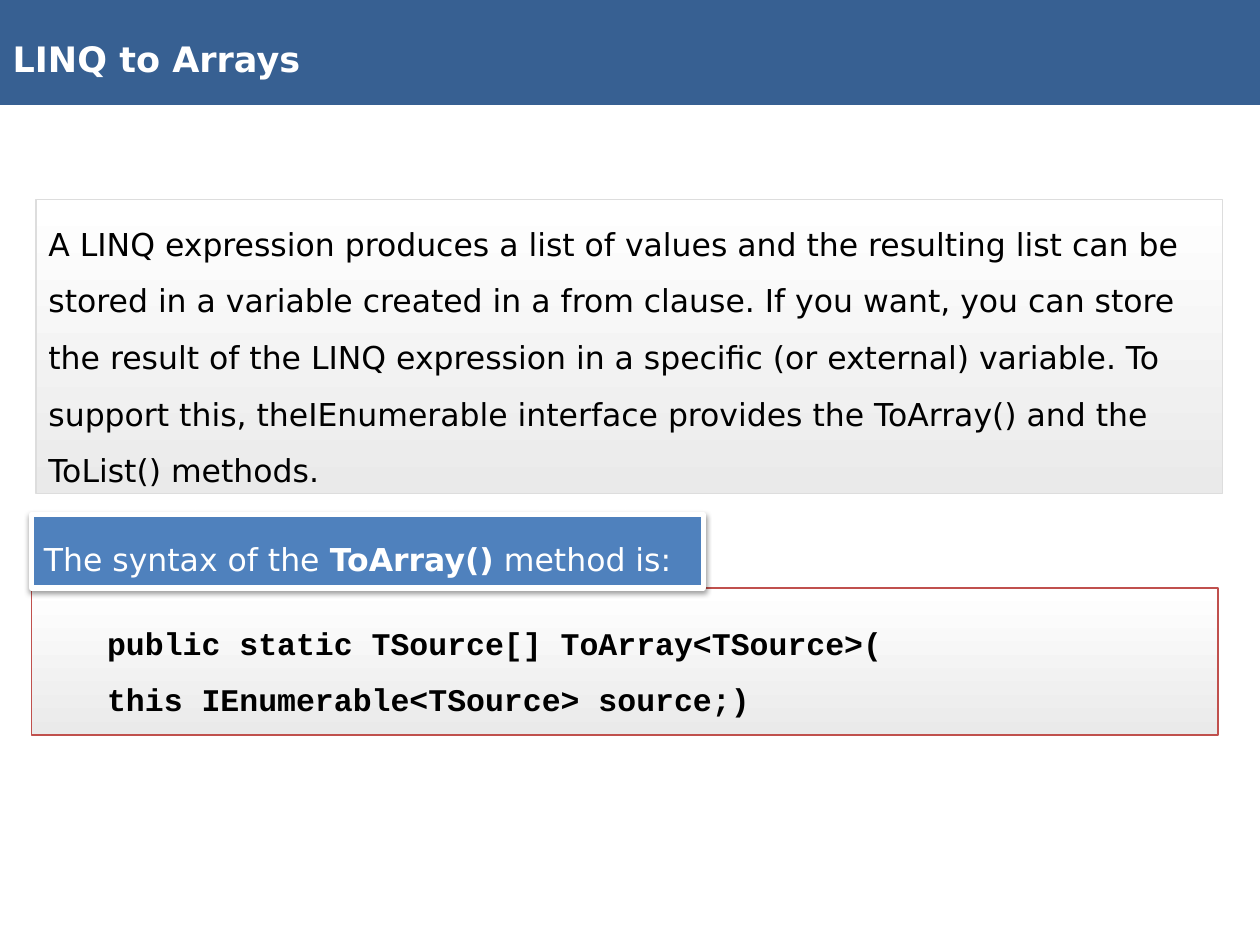
from lxml.etree import SubElement
from pptx import Presentation
from pptx.dml.color import RGBColor
from pptx.enum.shapes import MSO_SHAPE
from pptx.enum.text import MSO_ANCHOR, MSO_AUTO_SIZE, PP_ALIGN
from pptx.oxml.ns import qn
from pptx.util import Pt

BAND_BLUE = RGBColor(0x37, 0x60, 0x92)
LABEL_BLUE = RGBColor(0x4F, 0x81, 0xBD)
WHITE = RGBColor(0xFF, 0xFF, 0xFF)
PALE_GREY = RGBColor(0xEA, 0xEA, 0xEA)
BORDER_GREY = RGBColor(0xDD, 0xDD, 0xDD)
BORDER_RED = RGBColor(0xC0, 0x50, 0x4D)
BLACK = RGBColor(0, 0, 0)


class SlideBuilder:
    body_font = "DejaVu Sans"
    code_font = "Courier New"
    body_size = 18
    title_size = 20
    line_spacing = 1.5

    def __init__(self, slide):
        self.slide = slide

    def rectangle(self, left, top, width, height):
        shape = self.slide.shapes.add_shape(
            MSO_SHAPE.RECTANGLE, Pt(left), Pt(top), Pt(width), Pt(height))
        shape.shadow.inherit = False
        return shape

    def style(self, paragraph, size, color, font=body_font, bold=False):
        paragraph.alignment = PP_ALIGN.LEFT
        paragraph.line_spacing = self.line_spacing
        paragraph.font.name = font
        paragraph.font.size = Pt(size)
        paragraph.font.color.rgb = color
        paragraph.font.bold = bold

    def title_band(self, text, height):
        band = self.rectangle(0, 0, 720, height)
        band.fill.solid()
        band.fill.fore_color.rgb = BAND_BLUE
        band.line.fill.background()
        title = self.slide.shapes.title
        title.left, title.top, title.width, title.height = Pt(0), Pt(6), Pt(720), Pt(39)
        band.element.addnext(title.element)
        frame = title.text_frame
        frame.text = text
        frame.auto_size = MSO_AUTO_SIZE.NONE
        frame.vertical_anchor = MSO_ANCHOR.TOP
        self.style(frame.paragraphs[0], self.title_size, WHITE, bold=True)

    def panel(self, text, left, top, width, height, border):
        panel = self.rectangle(left, top, width, height)
        panel.fill.gradient()
        panel.fill.gradient_angle = 270
        for stop, color, position in zip(panel.fill.gradient_stops, (WHITE, PALE_GREY), (0, 1)):
            stop.color.rgb = color
            stop.position = position
        panel.line.color.rgb = border
        panel.line.width = Pt(1)
        frame = panel.text_frame
        frame.text = text
        frame.vertical_anchor = MSO_ANCHOR.TOP
        return frame

    def explanation(self, text, left, top, width, height):
        frame = self.panel(text, left, top, width, height, BORDER_GREY)
        self.style(frame.paragraphs[0], self.body_size, BLACK)

    def code(self, lines, left, top, width, height):
        frame = self.panel("\n".join(lines), left, top, width, height, BORDER_RED)
        frame.vertical_anchor = MSO_ANCHOR.MIDDLE
        frame.margin_left = Pt(43.2)
        for paragraph in frame.paragraphs:
            self.style(paragraph, self.body_size, BLACK, self.code_font, bold=True)

    def label(self, parts, left, top, width, height):
        label = self.rectangle(left, top, width, height)
        label.fill.solid()
        label.fill.fore_color.rgb = LABEL_BLUE
        label.line.color.rgb = WHITE
        label.line.width = Pt(3)
        self.drop_shadow(label)
        label.text_frame.vertical_anchor = MSO_ANCHOR.TOP
        paragraph = label.text_frame.paragraphs[0]
        self.style(paragraph, self.body_size, WHITE)
        paragraph.space_before = Pt(8)
        for text, bold in parts:
            run = paragraph.add_run()
            run.text = text
            run.font.name = self.body_font
            run.font.size = Pt(self.body_size)
            run.font.color.rgb = WHITE
            run.font.bold = bold

    def drop_shadow(self, shape):
        effects = shape.element.spPr.find(qn("a:effectLst"))
        shadow = SubElement(effects, qn("a:outerShdw"), blurRad=str(Pt(3.1)),
                            dist=str(Pt(1.6)), dir="5400000", rotWithShape="0")
        color = SubElement(shadow, qn("a:srgbClr"), val=str(BLACK))
        SubElement(color, qn("a:alpha"), val="38000")


def main():
    presentation = Presentation()
    presentation.slide_width, presentation.slide_height = Pt(720), Pt(540)
    builder = SlideBuilder(presentation.slides.add_slide(presentation.slide_layouts[5]))
    builder.title_band("LINQ to Arrays", 60)
    builder.explanation(
        "A LINQ expression produces a list of values and the resulting list can be "
        "stored in a variable created in a from clause. If you want, you can store "
        "the result of the LINQ expression in a specific (or external) variable. To "
        "support this, theIEnumerable interface provides the ToArray() and "
        "the ToList() methods.",
        20.6, 114, 678, 168)
    builder.code(
        ["public static TSource[] ToArray<TSource>(", "this IEnumerable<TSource> source;)"],
        18, 336, 678, 84)
    builder.label(
        [("The syntax of the ", False), ("ToArray()", True), (" method is:", False)],
        18, 294, 384, 42)
    presentation.save("out.pptx")


if __name__ == "__main__":
    main()
